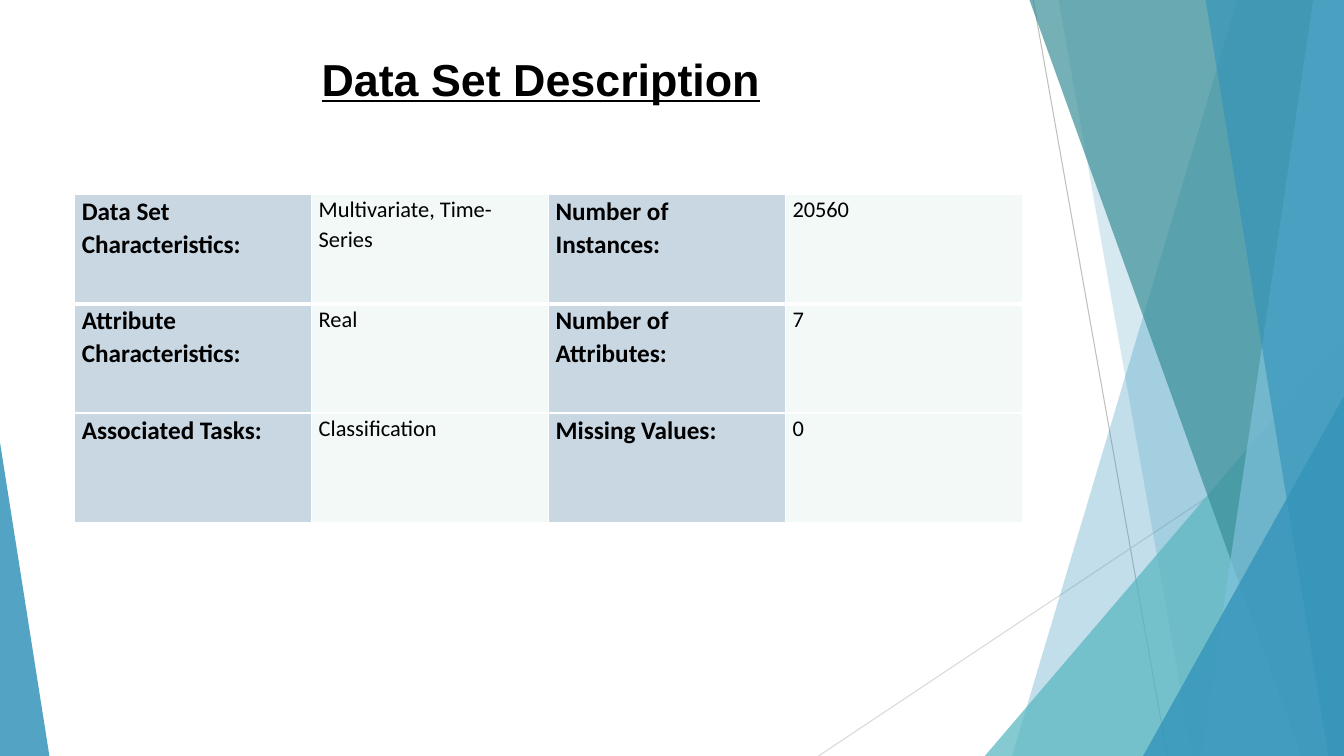
from lxml.etree import SubElement
from pptx import Presentation
from pptx.dml.color import RGBColor
from pptx.enum.shapes import MSO_CONNECTOR, MSO_SHAPE
from pptx.enum.text import MSO_ANCHOR, PP_ALIGN
from pptx.oxml.ns import qn
from pptx.util import Pt

WIDTH, HEIGHT = 960, 540
TOP = -0.72
COLORS = {
    "black": "000000", "white": "FFFFFF", "blue": "3494BA", "aqua": "58B6C0",
    "teal": "3A8F98", "sky": "7FC1DB", "label": "86A6C1", "value": "E3F2ED",
    "steep_line": "BFBFBF", "flat_line": "D9D9D9",
}

TITLE = "Data Set Description"
FACTS = [
    ("Data Set Characteristics:", "Multivariate, Time-Series", "Number of Instances:", "20560"),
    ("Attribute Characteristics:", "Real", "Number of Attributes:", "7"),
    ("Associated Tasks:", "Classification", "Missing Values:", "0"),
]
RAYS = [
    ("steep_line", (738, 0), (833.76, HEIGHT)),
    ("flat_line", (WIDTH, 290.16), (584.64, HEIGHT)),
]
FACETS = [
    ("band", "blue", 30, (884.16, 722.88)),
    ("band", "blue", 20, (756, 851.76)),
    ("wedge", "aqua", 72, (703.44, 239.76, 256.56, 1)),
    ("band", "teal", 70, (735.12, 929.52)),
    ("band", "sky", 70, (938.16, 858.24)),
    ("band", "blue", 65, (861.12, 948.96)),
    ("wedge", "blue", 80, (816.48, 282.96, 143.52, 1)),
    ("wedge", "blue", 85, (0, 316.08, 35.28, 0)),
]
TITLE_FONT = {"name": "Arial", "size": Pt(32), "bold": True, "underline": True}
CELL_FONTS = {
    "label": {"name": "Calibri", "size": Pt(18), "bold": True},
    "value": {"name": "Calibri", "size": Pt(16), "bold": False},
}
CELL_MARGINS = {"margin_left": Pt(5), "margin_right": Pt(5), "margin_top": 0, "margin_bottom": 0}
TABLE_LEFT, TABLE_TOP = 53.5, 139
COLUMN_WIDTH, ROW_HEIGHT = 169.2, 78


def rgb(color):
    return RGBColor.from_string(COLORS[color])


def apply(target, values):
    for key, value in values.items():
        setattr(target, key, value)


def paint(fill, properties, color, opacity):
    fill.solid()
    fill.fore_color.rgb = rgb(color)
    shade = properties.find(qn("a:solidFill"))[0]
    SubElement(shade, qn("a:alpha"), val=str(opacity * 1000))


def add_ray(slide, color, start, end):
    ray = slide.shapes.add_connector(MSO_CONNECTOR.STRAIGHT, *map(Pt, start + end))
    ray.line.color.rgb = rgb(color)
    ray.line.width = Pt(0.75)
    SubElement(ray._element.spPr, qn("a:effectLst"))


def add_band(slide, top_x, bottom_x):
    outline = slide.shapes.build_freeform(Pt(top_x), Pt(TOP))
    corners = [(WIDTH, TOP), (WIDTH, HEIGHT), (bottom_x, HEIGHT)]
    outline.add_line_segments([(Pt(x), Pt(y)) for x, y in corners], close=True)
    return outline.convert_to_shape()


def add_wedge(slide, left, top, width, apex):
    wedge = slide.shapes.add_shape(
        MSO_SHAPE.ISOSCELES_TRIANGLE, Pt(left), Pt(top), Pt(width), Pt(HEIGHT - top))
    wedge.adjustments[0] = apex
    return wedge


def add_facet(slide, kind, color, opacity, geometry):
    facet = {"band": add_band, "wedge": add_wedge}[kind](slide, *geometry)
    facet.shadow.inherit = False
    facet.line.fill.background()
    paint(facet.fill, facet._element.spPr, color, opacity)


def add_borders(cell, row):
    widths = {"L": 1, "R": 1, "T": 3 if row == 1 else 1, "B": 3 if row == 0 else 1}
    properties = cell._tc.get_or_add_tcPr()
    for position, (side, width) in enumerate(widths.items()):
        border = SubElement(properties, qn("a:ln" + side), w=str(Pt(width)))
        SubElement(SubElement(border, qn("a:solidFill")), qn("a:srgbClr"), val=COLORS["white"])
        properties.insert(position, border)


def add_title(slide):
    title = slide.shapes.title
    apply(title, {"left": Pt(222.5), "top": Pt(33), "width": Pt(377.5), "height": Pt(69)})
    title.text_frame.text = TITLE
    apply(title.text_frame, {"vertical_anchor": MSO_ANCHOR.TOP, "word_wrap": True})
    heading = title.text_frame.paragraphs[0]
    heading.alignment = PP_ALIGN.LEFT
    font = heading.runs[0].font
    apply(font, TITLE_FONT)
    font.color.rgb = rgb("black")


def add_facts(slide):
    rows, columns = len(FACTS), len(FACTS[0])
    table = slide.shapes.add_table(
        rows, columns, Pt(TABLE_LEFT), Pt(TABLE_TOP),
        Pt(COLUMN_WIDTH * columns), Pt(ROW_HEIGHT * rows)).table
    apply(table, {"first_row": False, "horz_banding": False})
    for row, facts in enumerate(FACTS):
        for column, fact in enumerate(facts):
            role = "value" if column % 2 else "label"
            cell = table.cell(row, column)
            cell.text = fact
            apply(cell, CELL_MARGINS)
            paint(cell.fill, cell._tc.get_or_add_tcPr(), role, 44)
            add_borders(cell, row)
            paragraph = cell.text_frame.paragraphs[0]
            paragraph.line_spacing = 1.07
            font = paragraph.runs[0].font
            apply(font, CELL_FONTS[role])
            font.color.rgb = rgb("black")


def main():
    deck = Presentation()
    apply(deck, {"slide_width": Pt(WIDTH), "slide_height": Pt(HEIGHT)})
    slide = deck.slides.add_slide(deck.slide_layouts[5])
    for ray in RAYS:
        add_ray(slide, *ray)
    for facet in FACETS:
        add_facet(slide, *facet)
    add_title(slide)
    add_facts(slide)
    deck.save("out.pptx")


if __name__ == "__main__":
    main()
